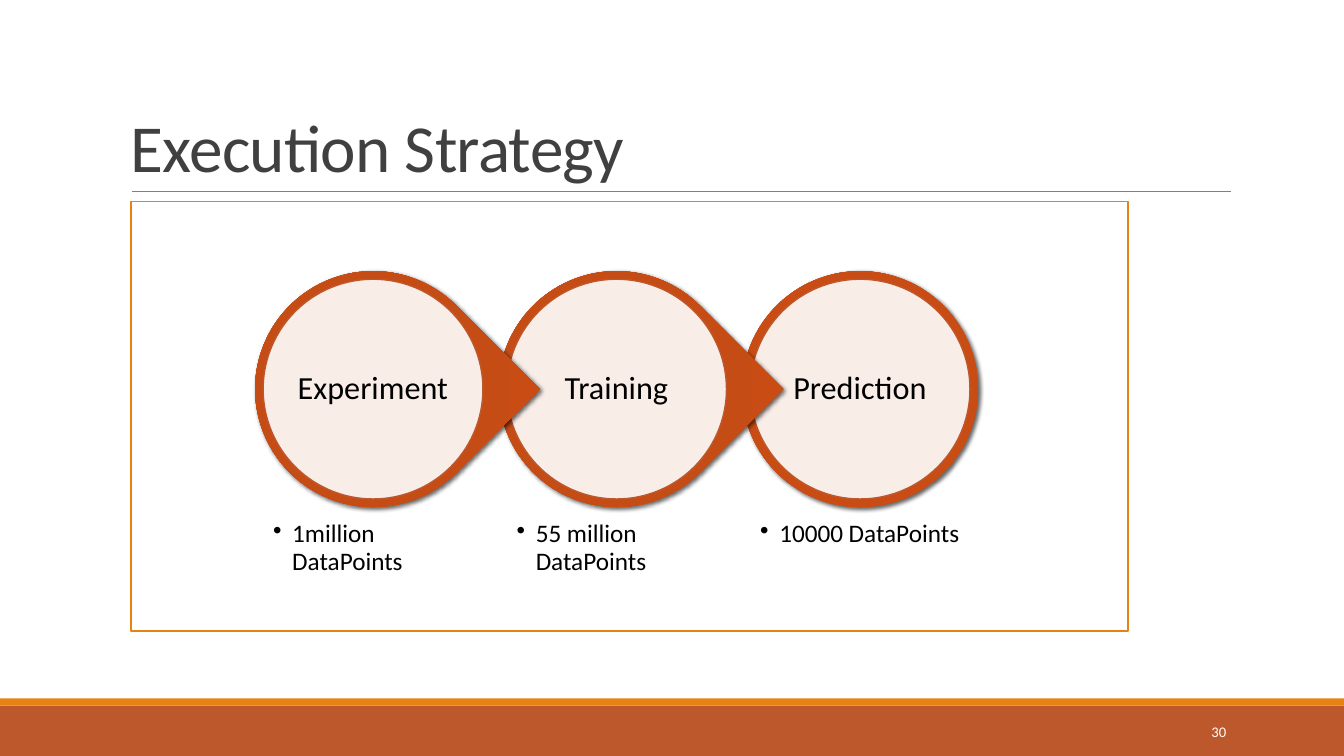
from lxml import etree
from pptx import Presentation
from pptx.dml.color import RGBColor
from pptx.enum.shapes import MSO_CONNECTOR, MSO_SHAPE
from pptx.enum.text import MSO_ANCHOR, PP_ALIGN
from pptx.oxml import parse_xml
from pptx.oxml.ns import qn
from pptx.util import Inches, Pt

RECTANGLE, OVAL, TEAR = MSO_SHAPE.RECTANGLE, MSO_SHAPE.OVAL, MSO_SHAPE.TEAR
STRAIGHT = MSO_CONNECTOR.STRAIGHT
TOP, MIDDLE, BOTTOM = MSO_ANCHOR.TOP, MSO_ANCHOR.MIDDLE, MSO_ANCHOR.BOTTOM
LEFT, CENTER, RIGHT = PP_ALIGN.LEFT, PP_ALIGN.CENTER, PP_ALIGN.RIGHT

COLORS = {
    "white": "FFFFFF", "black": "000000", "title": "404040", "rule": "808080",
    "orange": "E48312", "rust": "BD582C",
}
RING_STOPS = {0: "C44A15", 34: "C34C18", 70: "C94C15", 100: "C45525"}
NAMESPACE = 'xmlns:a="http://schemas.openxmlformats.org/drawingml/2006/main"'
WIDTH, HEIGHT = 13.33, 7.5
STEPS = [
    ("Experiment", "1million DataPoints", TEAR),
    ("Training", "55 million DataPoints", TEAR),
    ("Prediction", "10000 DataPoints", OVAL),
]
FIRST_LEFT, LAST_LEFT = 2.61, 7.44
STEP = (LAST_LEFT - FIRST_LEFT) / (len(STEPS) - 1)
DISC, DISC_TOP, RING_EDGE, LABEL_EDGE = 2.18, 2.77, 0.08, 0.31

presentation = Presentation()
presentation.slide_width, presentation.slide_height = Inches(WIDTH), Inches(HEIGHT)
slide = presentation.slides.add_slide(presentation.slide_layouts[6])


def add_block(kind, box, fill, line=None, line_width=1):
    shape = slide.shapes.add_shape(kind, *map(Inches, box))
    shape.shadow.inherit = False
    shape.fill.solid()
    shape.fill.fore_color.rgb = RGBColor.from_string(COLORS[fill])
    if line:
        shape.line.color.rgb = RGBColor.from_string(COLORS[line])
        shape.line.width = Pt(line_width)
    else:
        shape.line.fill.background()
    return shape


def add_text(text, box, size, color, anchor, align, inset=(0.1, 0.05), spacing=1.0):
    frame = slide.shapes.add_textbox(*map(Inches, box)).text_frame
    frame.word_wrap = True
    frame.vertical_anchor = anchor
    frame.margin_left = frame.margin_right = Inches(inset[0])
    frame.margin_top = frame.margin_bottom = Inches(inset[1])
    frame.text = text
    paragraph = frame.paragraphs[0]
    paragraph.alignment = align
    paragraph.line_spacing = spacing
    font = paragraph.runs[0].font
    font.name, font.size = "Calibri", Pt(size)
    font.color.rgb = RGBColor.from_string(COLORS[color])
    return paragraph


add_block(RECTANGLE, (0, 7, WIDTH, 0.5), "rust")
add_block(RECTANGLE, (0, 6.93, WIDTH, 0.07), "orange")
rule = slide.shapes.add_connector(STRAIGHT, *map(Inches, (1.31, 1.9, 12.21, 1.9)))
rule.line.color.rgb = RGBColor.from_string(COLORS["rule"])
rule.line.width = Pt(0.5)
etree.SubElement(rule._element.spPr, qn("a:effectLst"))

title = add_text("Execution Strategy", (1.2, 0.31, 11, 1.59), 48, "title",
                 BOTTOM, LEFT, spacing=0.85)
title.runs[0]._r.get_or_add_rPr().set("spc", "-50")
add_block(RECTANGLE, (1.3, 2, 9.89, 4.26), "white", "orange", 1.25)

gradient_stops = "".join(
    f'<a:gs pos="{position * 1000}"><a:srgbClr val="{color}"/></a:gs>'
    for position, color in RING_STOPS.items()
)
for index, (label, detail, ring_kind) in reversed(list(enumerate(STEPS))):
    left = FIRST_LEFT + index * STEP
    ring_size = DISC + 2 * RING_EDGE
    ring = add_block(ring_kind, (left - RING_EDGE, DISC_TOP - RING_EDGE,
                                 ring_size, ring_size), "rust")
    if ring_kind == TEAR:
        ring.rotation = 45
        ring.adjustments[0] = 1
    properties = ring._element.spPr
    properties.replace(properties.find(qn("a:solidFill")), parse_xml(
        f'<a:gradFill {NAMESPACE} rotWithShape="1"><a:gsLst>{gradient_stops}</a:gsLst>'
        '<a:path path="circle"><a:fillToRect l="100000" t="100000" r="100000" b="100000"/>'
        '</a:path></a:gradFill>'))
    properties.find(qn("a:effectLst")).append(parse_xml(
        f'<a:outerShdw {NAMESPACE} blurRad="{Pt(3)}" dist="{Pt(2)}" dir="2700000" '
        f'algn="br" rotWithShape="0"><a:srgbClr val="{COLORS["black"]}">'
        '<a:alpha val="60000"/></a:srgbClr></a:outerShdw>'))

    disc = add_block(OVAL, (left, DISC_TOP, DISC, DISC), "white", "rust")
    disc_color = disc._element.spPr.find(qn("a:solidFill"))[0]
    etree.SubElement(disc_color, qn("a:alpha"), val="90000")

    label_size = DISC - 2 * LABEL_EDGE
    add_text(label, (left + LABEL_EDGE, DISC_TOP + LABEL_EDGE, label_size, label_size),
             23, "black", MIDDLE, CENTER, (0.03, 0.03), 0.9)
    bullet = add_text(detail, (left, 5.07, DISC, 1.28), 18, "black",
                      TOP, LEFT, (0.1, 0.1), 0.9)
    bullet_properties = bullet._p.get_or_add_pPr()
    bullet_properties.set("marL", str(Inches(0.19)))
    bullet_properties.set("indent", str(-Inches(0.19)))
    etree.SubElement(bullet_properties, qn("a:buChar"), char="•")

add_text("30", (10.83, 7.06, 1.43, 0.4), 10.5, "white", MIDDLE, RIGHT)
presentation.save("out.pptx")
